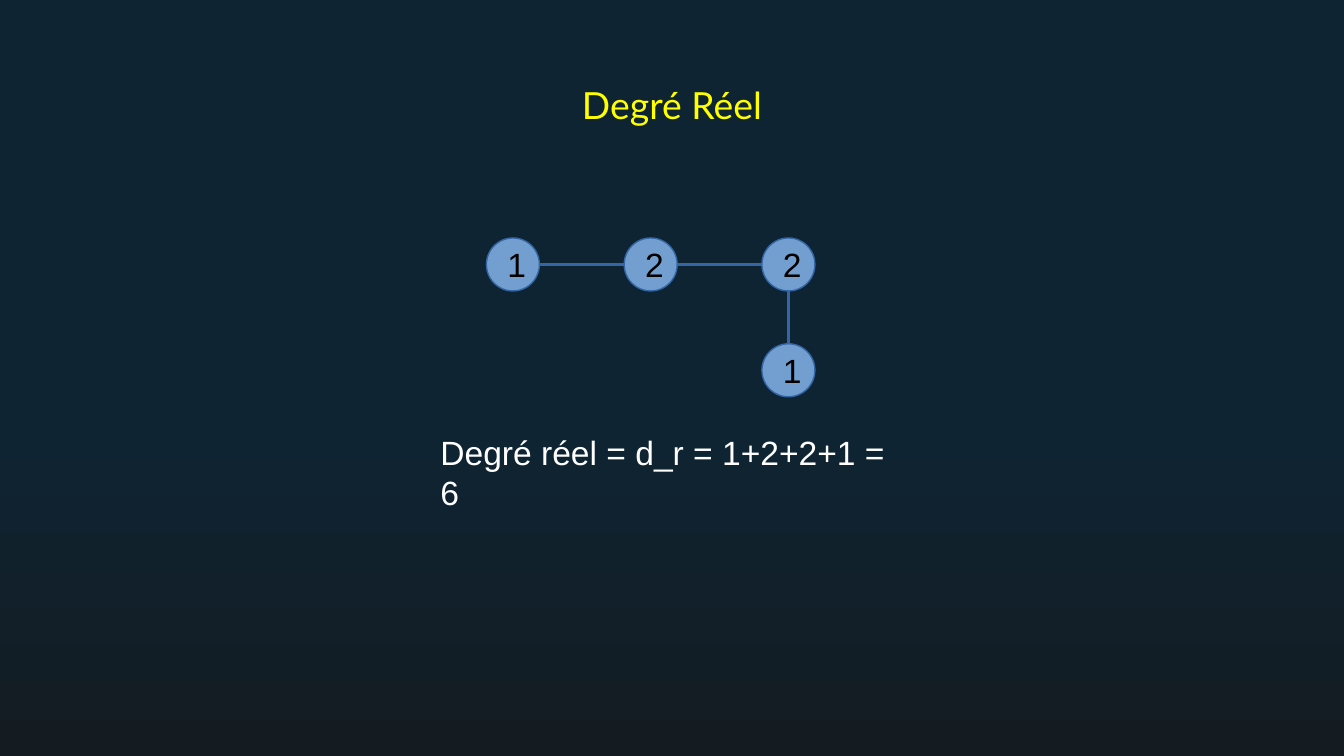
import pptx
import pptx.dml.color
import pptx.enum.shapes
import pptx.enum.text
import pptx.oxml.xmlchemy
import pptx.util
from lxml import etree
from pptx.oxml.ns import qn
from pptx.util import Pt

COLORS = {
    "night": "0E2433",
    "dusk": "141C21",
    "title": "FFFF00",
    "node": "729FCF",
    "edge": "3465A4",
    "label": "000000",
    "caption": "FFFFFF",
}
ANCHOR = pptx.enum.text.MSO_ANCHOR
ALIGN = pptx.enum.text.PP_ALIGN


def rgb(name):
    return pptx.dml.color.RGBColor.from_string(COLORS[name])


def set_attributes(target, values):
    for name, value in values.items():
        setattr(target, name, value)


def write_text(shape, text, font_name, size, color, align, anchor, inset_y=3.6):
    set_attributes(shape.text_frame, {
        "text": text, "word_wrap": True, "vertical_anchor": anchor,
        "margin_left": Pt(7.2), "margin_right": Pt(7.2),
        "margin_top": Pt(inset_y), "margin_bottom": Pt(inset_y),
    })
    paragraph = shape.text_frame.paragraphs[0]
    paragraph.alignment = align
    set_attributes(paragraph.font, {"name": font_name, "size": Pt(size), "bold": False})
    paragraph.font.color.rgb = rgb(color)


def paint_background(slide):
    fill = slide.background.fill
    fill.gradient()
    fill.gradient_angle = 270
    for stop, (position, color) in zip(fill.gradient_stops, [(0.56, "night"), (1, "dusk")]):
        stop.position = position
        stop.color.rgb = rgb(color)


def place_title(slide, left, top, width, height):
    title = slide.shapes.title
    set_attributes(title, {"left": Pt(left), "top": Pt(top),
                           "width": Pt(width), "height": Pt(height)})
    write_text(title, "Degré Réel", "Lato", 20, "title", ALIGN.CENTER, ANCHOR.MIDDLE, 7.2)


def add_node(slide, left, top, size, label):
    node = slide.shapes.add_shape(pptx.enum.shapes.MSO_SHAPE.OVAL,
                                  Pt(left), Pt(top), Pt(size), Pt(size))
    node.shadow.inherit = False
    node.fill.solid()
    node.fill.fore_color.rgb = rgb("node")
    node.line.color.rgb = rgb("edge")
    node.line.width = Pt(0)
    write_text(node, label, "Arial", 18, "label", ALIGN.CENTER, ANCHOR.MIDDLE)


def add_edge(slide, *ends):
    edge = slide.shapes.add_connector(pptx.enum.shapes.MSO_CONNECTOR.STRAIGHT,
                                      *[Pt(value) for value in ends])
    edge.line.color.rgb = rgb("edge")
    edge.line.width = Pt(0)
    etree.SubElement(edge._element.spPr, qn("a:effectLst"))


def draw_graph(slide, left, top, width, height):
    """Draw a row of three nodes with a fourth below the last one."""
    size = 28.4
    step_x, step_y = (width - size) / 2, height - size
    cells = [(0, 0, "1"), (1, 0, "2"), (2, 0, "2"), (2, 1, "1")]
    for column, row, label in cells:
        add_node(slide, left + column * step_x, top + row * step_y, size, label)
    for (column, row, _), (next_column, next_row, _) in zip(cells, cells[1:]):
        across, down = next_column - column, next_row - row
        center_x = left + column * step_x + size / 2
        center_y = top + row * step_y + size / 2
        add_edge(slide,
                 center_x + across * size / 2, center_y + down * size / 2,
                 center_x + across * (step_x - size / 2),
                 center_y + down * (step_y - size / 2))


def add_caption(slide, left, top, width, height):
    caption = slide.shapes.add_textbox(Pt(left), Pt(top), Pt(width), Pt(height))
    write_text(caption, "Degré réel = d_r = 1+2+2+1 = 6", "Arial", 18, "caption",
               ALIGN.LEFT, ANCHOR.TOP)


def main():
    presentation = pptx.Presentation()
    presentation.slide_width, presentation.slide_height = Pt(720), Pt(405)
    slide = presentation.slides.add_slide(presentation.slide_layouts[5])
    paint_background(slide)
    place_title(slide, 56.5, 42.8, 607, 26)
    draw_graph(slide, 260.6, 127.5, 176, 85.1)
    add_caption(slide, 228.8, 227.6, 267, 27.4)
    presentation.save("out.pptx")


if __name__ == "__main__":
    main()
